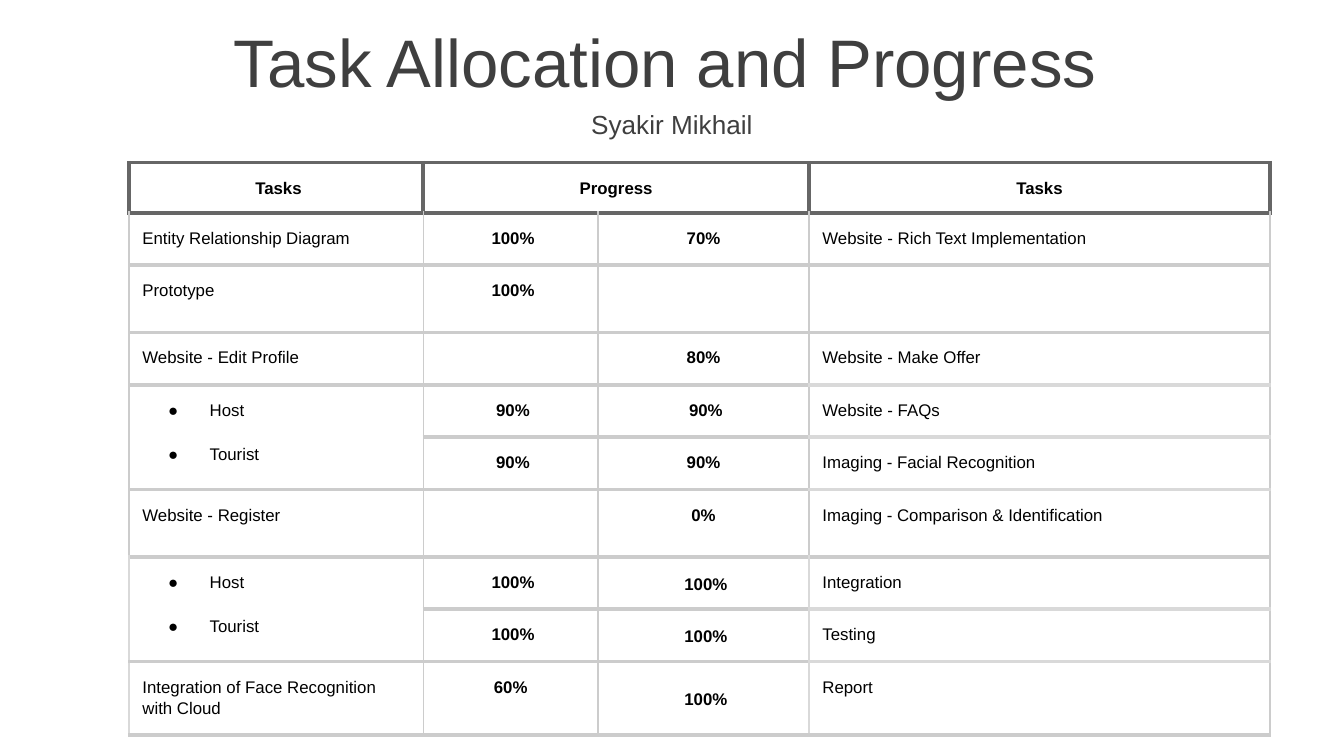
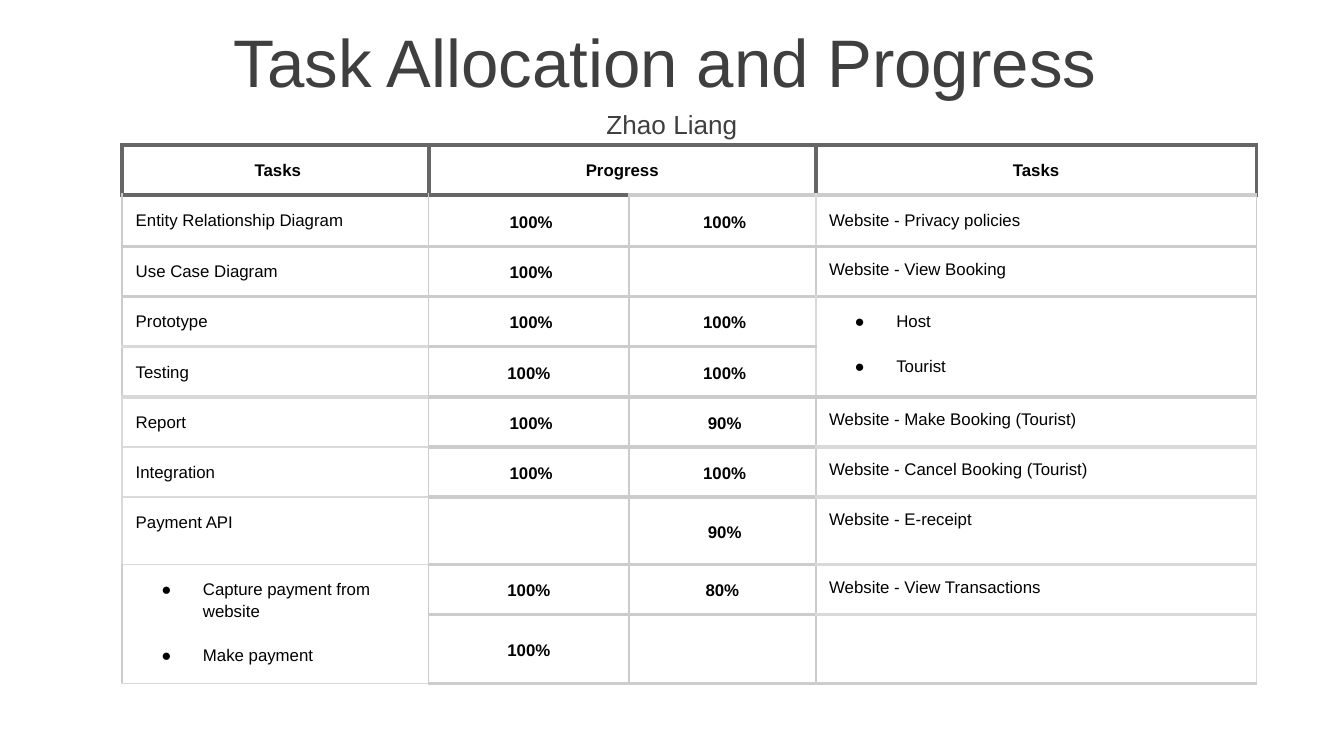
"""Build the task allocation and progress slides, one per team member."""
from dataclasses import dataclass
from typing import Optional

import lxml.etree
import pptx
import pptx.dml.color
import pptx.enum.text
import pptx.oxml
import pptx.oxml.ns
import pptx.presentation
import pptx.slide
import pptx.table
import pptx.text.text
import pptx.util

Inches = pptx.util.Inches
Pt = pptx.util.Pt
Align = pptx.enum.text.PP_ALIGN
Anchor = pptx.enum.text.MSO_ANCHOR
qn = pptx.oxml.ns.qn


@dataclass(frozen=True)
class Theme:
    font: str = "Arial"
    title_color: str = "3F3F3F"
    text_color: str = "000000"
    dark: str = "666666"
    grey: str = "CCCCCC"
    pale: str = "D9D9D9"
    title_size: float = 36
    name_size: float = 14
    table_size: float = 9
    tall_size: float = 18
    thin: float = 1
    thick: float = 2.25
    bullet_gap: float = 12
    no_table_style: str = "{2D5ABB26-0587-4C30-8999-92F81FD0307C}"


THEME = Theme()
LINES = {
    "D": (THEME.dark, THEME.thick),
    "G": (THEME.grey, THEME.thick),
    "g": (THEME.grey, THEME.thin),
    "P": (THEME.pale, THEME.thick),
    "p": (THEME.pale, THEME.thin),
}
SIDES = ("lnL", "lnT", "lnR", "lnB")


@dataclass(frozen=True)
class CellStyle:
    align: Align = Align.LEFT
    bold: bool = False
    spacing: float = 1.15
    anchor: Anchor = Anchor.TOP
    margin: float = 0.1
    bullets: bool = False
    size: float = THEME.table_size


TASK = CellStyle()
TALL = CellStyle(size=THEME.tall_size)
SINGLE = CellStyle(spacing=1.0)
BULLETS = CellStyle(bullets=True)
CENTER = CellStyle(Align.CENTER, True)
MIDDLE = CellStyle(Align.CENTER, True, anchor=Anchor.MIDDLE)
TIGHT = CellStyle(Align.CENTER, True, anchor=Anchor.MIDDLE, margin=0.01)


@dataclass(frozen=True)
class Cell:
    """A table cell; borders gives the line codes for left, top, right and bottom."""
    text: str = ""
    style: CellStyle = TASK
    borders: str = "gGgG"
    rows: int = 1
    columns: int = 1


Row = list[Optional[Cell]]


@dataclass(frozen=True)
class Member:
    name: str
    left: float
    top: float
    columns: list[float]
    heights: list[float]
    rows: list[Row]


def header(last_borders: str = "DDDD") -> Row:
    return [
        Cell(" Tasks", CENTER, "DDDD"),
        Cell("Progress", CENTER, "DDDD", columns=2),
        None,
        Cell("Tasks", CENTER, last_borders),
    ]


MEMBERS = [
    Member(
        "Syakir Mikhail", 0.96, 1.21, [2.19, 1.3, 1.57, 3.43],
        [0.34] + [0.39] * 5 + [0.49] + [0.39] * 3,
        [
            header(),
            [Cell("Entity Relationship Diagram", TASK, "gDgG"), Cell(" 100%", CENTER, "gDgG"),
             Cell("70%", CENTER, "gDgG"), Cell("Website - Rich Text Implementation", TASK, "gDgG")],
            [Cell("Prototype"), Cell(" 100%", CENTER), Cell("", TALL), Cell("", TALL)],
            [Cell("Website - Edit Profile"), Cell(), Cell("80%", CENTER),
             Cell("Website - Make Offer", TASK, "gGgP")],
            [Cell("Host\nTourist", BULLETS, rows=2), Cell(" 90%", CENTER), Cell(" 90%", CENTER),
             Cell("Website - FAQs", TASK, "gPgP")],
            [None, Cell(" 90%", CENTER), Cell("90%", CENTER),
             Cell("Imaging - Facial Recognition", TASK, "gPgP")],
            [Cell("Website - Register"), Cell("", TALL), Cell("0%", CENTER),
             Cell("Imaging - Comparison & Identification", TASK, "gPgG")],
            [Cell("Host\nTourist", BULLETS, "pGgG", rows=2), Cell(" 100%", CENTER),
             Cell(" 100%", TIGHT, "gGpG"), Cell("Integration", TASK, "pGgP")],
            [None, Cell(" 100%", CENTER), Cell(" 100%", TIGHT, "gGpG"),
             Cell("Testing", TASK, "pPgP")],
            [Cell("Integration of Face Recognition with Cloud", TASK, "pGgG"), Cell("60%", CENTER),
             Cell(" 100%", TIGHT, "gGpG"), Cell("Report", TASK, "pPgG")],
        ],
    ),
    Member(
        "Zhao Liang", 0.91, 1.08, [2.28, 1.49, 1.39, 3.28],
        [0.32, 0.38] + [0.32] * 4 + [0.11] + [0.32] * 3,
        [
            header("DDDG"),
            [Cell("Entity Relationship Diagram", TASK, "gDgG"), Cell(" 100%", MIDDLE, "gDgG"),
             Cell(" 100%", TIGHT, "gGpG"), Cell("Website - Privacy policies", TASK, "pGgG")],
            [Cell("Use Case Diagram"), Cell(" 100%", MIDDLE), Cell(),
             Cell("Website - View Booking", SINGLE)],
            [Cell("Prototype", TASK, "gGgP"), Cell(" 100%", MIDDLE), Cell(" 100%", TIGHT, "gGpG"),
             Cell("Host\nTourist", BULLETS, "pGgG", rows=2)],
            [Cell("Testing", TASK, "gPgP"), Cell("100%", MIDDLE), Cell(" 100%", TIGHT), None],
            [Cell("Report", TASK, "pPgp"), Cell(" 100%", MIDDLE), Cell(" 90%", TIGHT),
             Cell("Website - Make Booking (Tourist)", SINGLE, "gGpP")],
            [Cell("Integration", TASK, "ppgp"), Cell(" 100%", MIDDLE), Cell(" 100%", TIGHT),
             Cell("Website - Cancel Booking (Tourist)", SINGLE, "gPpP")],
            [Cell("Payment API", TASK, "ppgp"), Cell("", TALL), Cell(" 90%", TIGHT),
             Cell("Website - E-receipt", SINGLE, "gPpP")],
            [Cell("Capture payment from website\nMake payment", BULLETS, "gpgp", rows=2),
             Cell("100%", MIDDLE), Cell("80%", TIGHT),
             Cell("Website - View Transactions", SINGLE, "gPpP")],
            [None, Cell("100%", MIDDLE), Cell("", TALL), Cell("", TALL, "gPpG")],
        ],
    ),
]


def set_font(paragraph: pptx.text.text._Paragraph, size: float, color: str,
             bold: bool = False) -> None:
    font = paragraph.font
    font.name = THEME.font
    font.size = Pt(size)
    font.bold = bold
    font.color.rgb = pptx.dml.color.RGBColor.from_string(color)


def add_heading(slide: pptx.slide.Slide, text: str, left: float, top: float,
                height: float, size: float) -> None:
    shape = slide.shapes.add_textbox(Inches(left), Inches(top), Inches(10), Inches(height))
    frame = shape.text_frame
    frame.word_wrap = True
    frame.vertical_anchor = Anchor.MIDDLE
    frame.text = text
    paragraph = frame.paragraphs[0]
    paragraph.alignment = Align.CENTER
    set_font(paragraph, size, THEME.title_color)


def add_bullet(paragraph: pptx.text.text._Paragraph) -> None:
    properties = paragraph._p.get_or_add_pPr()
    properties.set("marL", str(Inches(0.5)))
    properties.set("indent", str(Inches(-0.31)))
    color = lxml.etree.SubElement(properties, qn("a:buClr"))
    lxml.etree.SubElement(color, qn("a:srgbClr"), val=THEME.text_color)
    lxml.etree.SubElement(properties, qn("a:buFont"), typeface=THEME.font)
    lxml.etree.SubElement(properties, qn("a:buChar"), char="●")


def set_blank_size(paragraph: pptx.text.text._Paragraph, size: float) -> None:
    properties = lxml.etree.SubElement(
        paragraph._p, qn("a:endParaRPr"), sz=str(Pt(size).centipoints))
    lxml.etree.SubElement(properties, qn("a:latin"), typeface=THEME.font)


def set_borders(table_cell: pptx.table._Cell, codes: str) -> None:
    properties = table_cell._tc.get_or_add_tcPr()
    borders = dict(zip(SIDES, codes))
    for position, side in enumerate(("lnL", "lnR", "lnT", "lnB")):
        color, width = LINES[borders[side]]
        line = lxml.etree.Element(qn(f"a:{side}"), w=str(Pt(width)))
        fill = lxml.etree.SubElement(line, qn("a:solidFill"))
        lxml.etree.SubElement(fill, qn("a:srgbClr"), val=color)
        properties.insert(position, line)


def fill_cell(table_cell: pptx.table._Cell, cell: Cell) -> None:
    style = cell.style
    margin = Inches(style.margin)
    table_cell.margin_left = table_cell.margin_right = margin
    table_cell.margin_top = table_cell.margin_bottom = margin
    table_cell.vertical_anchor = style.anchor
    table_cell.fill.background()
    set_borders(table_cell, cell.borders)
    if not cell.text:
        set_blank_size(table_cell.text_frame.paragraphs[0], style.size)
        return
    table_cell.text = cell.text
    for index, paragraph in enumerate(table_cell.text_frame.paragraphs):
        if style.bullets:
            add_bullet(paragraph)
        if index:
            paragraph.space_before = Pt(THEME.bullet_gap)
        paragraph.alignment = style.align
        paragraph.line_spacing = style.spacing
        set_font(paragraph, style.size, THEME.text_color, style.bold)


def add_progress_table(slide: pptx.slide.Slide, member: Member) -> None:
    frame = slide.shapes.add_table(
        len(member.rows), len(member.columns), Inches(member.left), Inches(member.top),
        Inches(sum(member.columns)), Inches(sum(member.heights)))
    table = frame.table
    table.first_row = table.horz_banding = False
    table._tbl.tblPr.find(qn("a:tableStyleId")).text = THEME.no_table_style
    for column, width in zip(table.columns, member.columns):
        column.width = Inches(width)
    for row, height in zip(table.rows, member.heights):
        row.height = Inches(height)
    for row_index, row in enumerate(member.rows):
        for column_index, cell in enumerate(row):
            if cell is None:
                continue
            table_cell = table.cell(row_index, column_index)
            if cell.rows > 1 or cell.columns > 1:
                table_cell.merge(table.cell(row_index + cell.rows - 1,
                                            column_index + cell.columns - 1))
            fill_cell(table_cell, cell)


def add_member_slide(presentation: pptx.presentation.Presentation, member: Member) -> None:
    slide = presentation.slides.add_slide(presentation.slide_layouts[6])
    add_heading(slide, "Task Allocation and Progress", -0.05, 0.14, 0.63, THEME.title_size)
    add_heading(slide, member.name, 0, 0.77, 0.31, THEME.name_size)
    add_progress_table(slide, member)


def main() -> None:
    presentation = pptx.Presentation()
    presentation.slide_width = Inches(10)
    presentation.slide_height = Inches(10 * 9 / 16)
    for member in MEMBERS:
        add_member_slide(presentation, member)
    presentation.save("out.pptx")


if __name__ == "__main__":
    main()
